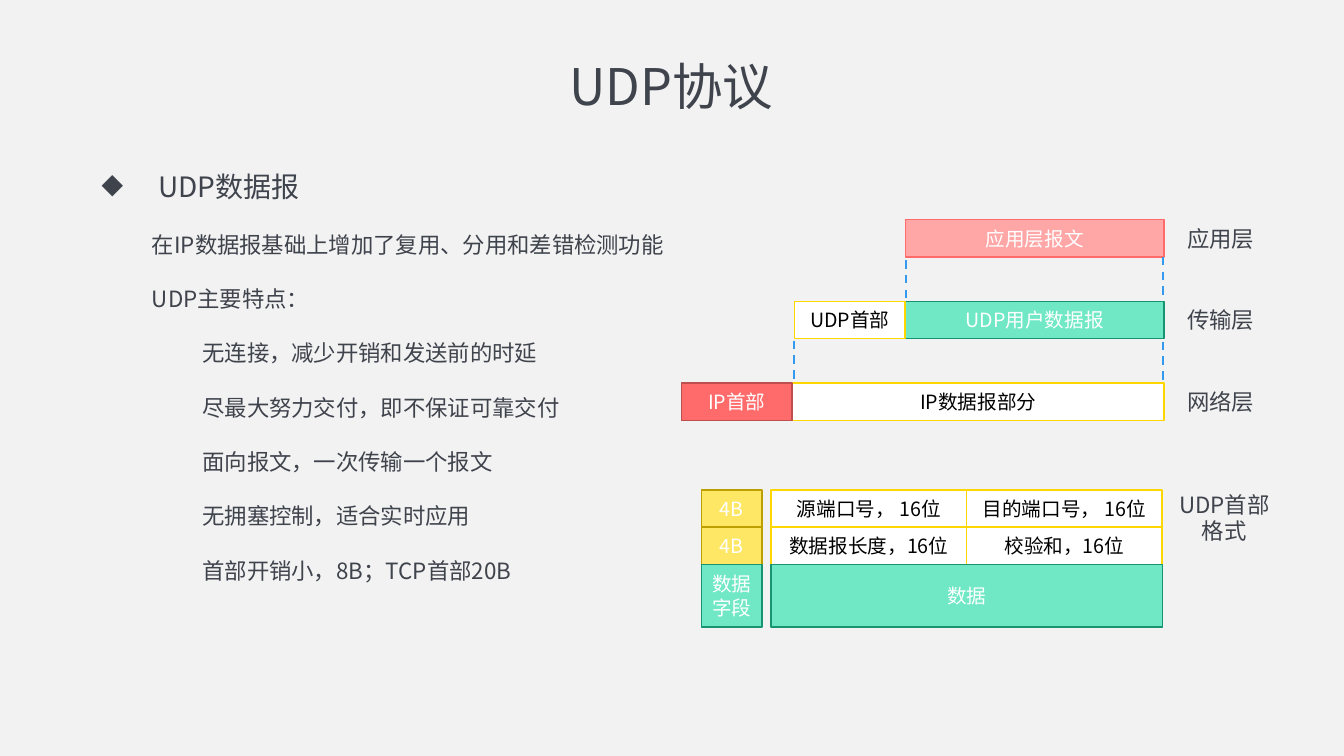
from lxml.etree import SubElement
from pptx import Presentation
from pptx.dml.color import RGBColor
from pptx.enum.dml import MSO_LINE
from pptx.enum.shapes import MSO_CONNECTOR, MSO_SHAPE
from pptx.enum.text import MSO_ANCHOR, MSO_AUTO_SIZE, PP_ALIGN
from pptx.oxml.ns import qn
from pptx.util import Pt

FONT = "Noto Sans CJK SC"
INK, WHITE, BLACK = "3F434C", "FFFFFF", "000000"
GOLD, GREEN, DARK_GREEN = "FFD700", "70E8C5", "189570"
CORAL, BLUE = "FF6B6B", "339AF0"
ROW_HEIGHT = 26.64
HEADER_WIDTH = 79.2
RIGHT_EDGE = 831.6
LAYER_TOP, LAYER_STEP = 157, 58.3


def colour(value):
    """Return the colour for a hex string."""
    return RGBColor.from_string(value)


def add_run(paragraph, text, size, ink=INK):
    """Add a run in the slide's font."""
    run = paragraph.add_run()
    run.text = text
    run.font.size = Pt(size)
    run.font.name = FONT
    run.font.color.rgb = colour(ink)
    SubElement(run.font._element, qn("a:ea"), typeface=FONT)


def add_title(slide, text):
    """Place and fill the title placeholder."""
    title = slide.shapes.title
    title.left, title.top, title.width, title.height = Pt(65.5), Pt(20.9), Pt(828), Pt(85)
    frame = title.text_frame
    frame.auto_size = MSO_AUTO_SIZE.NONE
    frame.vertical_anchor = MSO_ANCHOR.MIDDLE
    paragraph = frame.paragraphs[0]
    paragraph.alignment = PP_ALIGN.CENTER
    paragraph.line_spacing = 0.9
    add_run(paragraph, text, 36)


def add_text_box(slide, left, top, width, height):
    """Add a wrapping text box and return its text frame."""
    shape = slide.shapes.add_textbox(Pt(left), Pt(top), Pt(width), Pt(height))
    shape.text_frame.word_wrap = True
    return shape.text_frame


def add_outline(slide, items):
    """Add the outline of (text, size, indent, bulleted) items."""
    frame = add_text_box(slide, 65.5, 105.8, 828, 404.6)
    for index, (text, size, indent, bulleted) in enumerate(items):
        paragraph = frame.add_paragraph() if index else frame.paragraphs[0]
        paragraph.line_spacing = 1.5
        paragraph.space_before = Pt(10)
        properties = paragraph._p.get_or_add_pPr()
        properties.set("marL", str(Pt(indent)))
        properties.set("indent", str(Pt(-indent if bulleted else 0)))
        if bulleted:
            SubElement(properties, qn("a:buChar"), char="◆")
        add_run(paragraph, text, size)


def add_label(slide, text, left, top, width, height):
    """Add a centred caption at the right."""
    frame = add_text_box(slide, left, top, width, height)
    frame.auto_size = MSO_AUTO_SIZE.SHAPE_TO_FIT_TEXT
    frame.paragraphs[0].alignment = PP_ALIGN.CENTER
    add_run(frame.paragraphs[0], text, 16)


def add_field(slide, text, left, top, width, height, fill=WHITE, line=GOLD, ink=WHITE):
    """Add one outlined field of a datagram."""
    shape = slide.shapes.add_shape(MSO_SHAPE.RECTANGLE, Pt(left), Pt(top), Pt(width), Pt(height))
    shape.shadow.inherit = False
    shape.fill.solid()
    shape.fill.fore_color.rgb = colour(fill)
    shape.line.color.rgb = colour(line)
    shape.line.width = Pt(1)
    frame = shape.text_frame
    frame.word_wrap = True
    frame.vertical_anchor = MSO_ANCHOR.MIDDLE
    frame.paragraphs[0].alignment = PP_ALIGN.CENTER
    add_run(frame.paragraphs[0], text, 14, ink)


def add_dashed_line(slide, x, top):
    """Add a vertical dashed line between two layers."""
    line = slide.shapes.add_connector(MSO_CONNECTOR.STRAIGHT, Pt(x), Pt(top), Pt(x), Pt(top + 30))
    line.line.color.rgb = colour(BLUE)
    line.line.width = Pt(1.5)
    line.line.dash_style = MSO_LINE.DASH
    SubElement(line._element.spPr, qn("a:effectLst"))


def add_layers(slide):
    """Draw the three layers of encapsulation."""
    layers = [
        ("应用层", 646.6, ("应用层报文", "FFA6A6", CORAL, WHITE), None),
        ("传输层", 646.6, ("UDP用户数据报", GREEN, DARK_GREEN, WHITE),
         ("UDP首部", WHITE, GOLD, BLACK)),
        ("网络层", 565.9, ("IP数据报部分", WHITE, GOLD, BLACK),
         ("IP首部", CORAL, "BD4F4F", WHITE)),
    ]
    for index, (name, left, payload, header) in enumerate(layers):
        top = LAYER_TOP + index * LAYER_STEP
        text, *colours = payload
        add_field(slide, text, left, top, RIGHT_EDGE - left, ROW_HEIGHT, *colours)
        if header:
            text, *colours = header
            add_field(slide, text, left - HEADER_WIDTH, top, HEADER_WIDTH, ROW_HEIGHT, *colours)
        add_label(slide, name, 832.3, top, HEADER_WIDTH, ROW_HEIGHT)
    for x, top in [(647.3, 185.8), (567.4, 243.4), (830.9, 183.6), (830.9, 244.1)]:
        add_dashed_line(slide, x, top)


def add_header_format(slide):
    """Draw the layout of the UDP header and its data."""
    left, top, width = 550.8, 349.9, 139.7
    side_left, side_width, data_height = 501.1, 43.2, 44.6
    rows = [("源端口号， 16位", "目的端口号， 16位"), ("数据报长度，16位", "校验和，16位")]
    for row, fields in enumerate(rows):
        y = top + row * ROW_HEIGHT
        for column, text in enumerate(fields):
            add_field(slide, text, left + column * width, y, width, ROW_HEIGHT, ink=BLACK)
        add_field(slide, "4B", side_left, y, side_width, ROW_HEIGHT, "FFE766", "BD9F00")
    y = top + len(rows) * ROW_HEIGHT
    add_field(slide, "数据", left, y, 2 * width, data_height, GREEN, DARK_GREEN)
    add_field(slide, "数据字段", side_left, y, side_width, data_height, GREEN, DARK_GREEN)
    add_label(slide, "UDP首部格式", 833.8, 347, 81.4, 46)


def main():
    """Build and save the slide."""
    presentation = Presentation()
    presentation.slide_width, presentation.slide_height = Pt(960), Pt(540)
    slide = presentation.slides.add_slide(presentation.slide_layouts[5])
    slide.background.fill.solid()
    slide.background.fill.fore_color.rgb = colour("F2F2F2")
    add_title(slide, "UDP协议")
    add_outline(slide, [
        ("UDP数据报", 20, 40.5, True),
        ("在IP数据报基础上增加了复用、分用和差错检测功能", 16, 36, False),
        ("UDP主要特点：", 16, 36, False),
        ("无连接，减少开销和发送前的时延", 16, 72, False),
        ("尽最大努力交付，即不保证可靠交付", 16, 72, False),
        ("面向报文，一次传输一个报文", 16, 72, False),
        ("无拥塞控制，适合实时应用", 16, 72, False),
        ("首部开销小，8B；TCP首部20B", 16, 72, False),
    ])
    add_layers(slide)
    add_header_format(slide)
    presentation.save("out.pptx")


if __name__ == "__main__":
    main()
